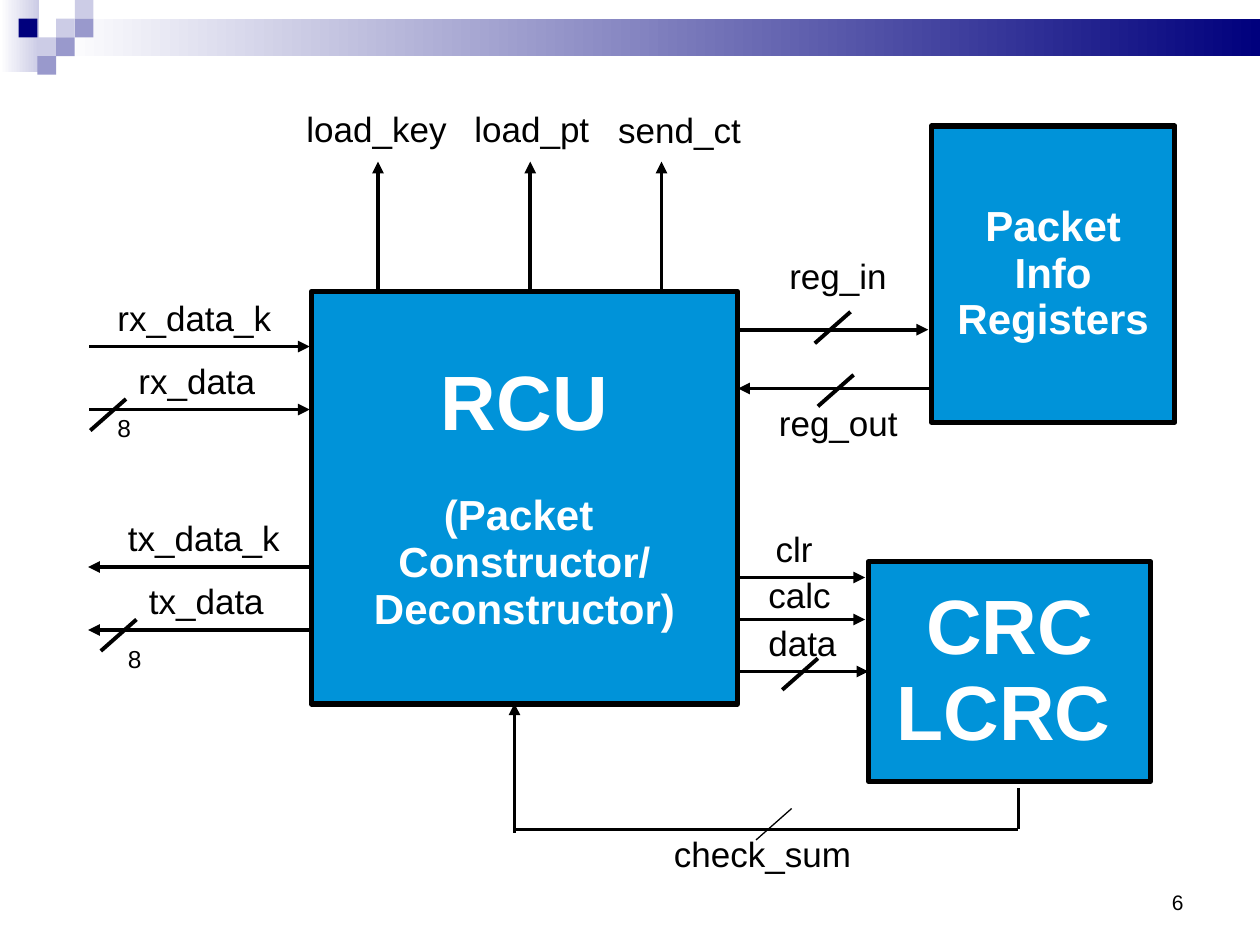
from dataclasses import dataclass

import pptx
import pptx.dml.color
import pptx.enum.shapes
import pptx.enum.text
import pptx.oxml
import pptx.oxml.ns
import pptx.util

COLORS = {"ink": "000000", "white": "FFFFFF", "block": "0093D9",
          "navy": "00007D", "mid": "9999CC", "pale": "CCCCE6"}
CELL = pptx.util.Inches(1) / 12  # grid of 120 columns by 90 rows
TILE = 1.78                      # side of a mosaic tile, in grid cells
ALIGN = pptx.enum.text.PP_ALIGN
ANCHOR = pptx.enum.text.MSO_ANCHOR
RECT = pptx.enum.shapes.MSO_SHAPE.RECTANGLE
STRAIGHT = pptx.enum.shapes.MSO_CONNECTOR.STRAIGHT


@dataclass
class Line:
    text: str
    size: float
    before: float = 0


@dataclass
class Block:
    col: float
    row: float
    cols: float
    rows: float
    lines: list[Line]


@dataclass
class Label:
    col: float
    row: float
    text: str
    size: float = 20
    cols: float = 18
    rows: float = 5


@dataclass
class Wire:
    col1: float
    row1: float
    col2: float
    row2: float
    arrow: bool = True
    width: float = 2.25


def grid(*cells: float) -> list[int]:
    return [round(c * CELL) for c in cells]


def rgb(name: str) -> pptx.dml.color.RGBColor:
    return pptx.dml.color.RGBColor.from_string(COLORS[name])


def set_font(font, size: float, color: str, bold: bool = False) -> None:
    font.name, font.size, font.bold = "Arial", pptx.util.Pt(size), bold
    font.color.rgb = rgb(color)


def add_rect(s, col: float, row: float, cols: float, rows: float, fill: str, fade: bool = False):
    sp = s.shapes.add_shape(RECT, *grid(col, row, cols, rows))
    sp.shadow.inherit = False
    sp.line.fill.background()
    if fade:
        sp.fill.gradient()
        sp.fill.gradient_angle = 180
        for stop, name, pos in zip(sp.fill.gradient_stops, (fill, "white"), (0, 1)):
            stop.color.rgb, stop.position = rgb(name), pos
    else:
        sp.fill.solid()
        sp.fill.fore_color.rgb = rgb(fill)
    return sp


def add_block(s, b: Block):
    sp = add_rect(s, b.col, b.row, b.cols, b.rows, "block")
    sp.line.color.rgb = rgb("ink")
    sp.line.width = pptx.util.Pt(2.89)
    tf = sp.text_frame
    tf.word_wrap, tf.vertical_anchor = True, ANCHOR.MIDDLE
    for i, line in enumerate(b.lines):
        p = tf.add_paragraph() if i else tf.paragraphs[0]
        p.text, p.alignment, p.line_spacing = line.text, ALIGN.CENTER, 0.93
        p.space_before = pptx.util.Pt(line.before)
        set_font(p.font, line.size, "white", True)
    return sp


def add_label(s, lb: Label):
    sp = s.shapes.add_textbox(*grid(lb.col, lb.row, lb.cols, lb.rows))
    sp.text_frame.word_wrap = True
    p = sp.text_frame.paragraphs[0]
    p.text, p.line_spacing = lb.text, 0.93
    set_font(p.font, lb.size, "ink")
    return sp


def add_wire(s, w: Wire):
    sp = s.shapes.add_connector(STRAIGHT, *grid(w.col1, w.row1, w.col2, w.row2))
    sp.line.color.rgb = rgb("ink")
    sp.line.width = pptx.util.Pt(w.width)
    if w.arrow:
        ln = sp.line._get_or_add_ln()
        ln.append(pptx.oxml.parse_xml(
            f'<a:tailEnd {pptx.oxml.ns.nsdecls("a")} type="triangle"/>'))
    sp._element.spPr.append(pptx.oxml.parse_xml(
        f'<a:effectLst {pptx.oxml.ns.nsdecls("a")}/>'))
    return sp


def main() -> None:
    prs = pptx.Presentation()
    prs.slide_width, prs.slide_height = grid(120, 90)
    s = prs.slides.add_slide(prs.slide_layouts[6])

    # Header band and mosaic
    add_rect(s, 0, 0, 3.7, 6.84, "pale", fade=True)
    add_rect(s, 5.4, 1.8, 114.6, 3.54, "navy", fade=True)
    for x, y, fill in [(3, 1, "pale"), (4, 0, "pale"), (4, 1, "mid"), (2, 2, "pale"),
                       (1, 1, "navy"), (3, 2, "mid"), (2, 3, "mid")]:
        add_rect(s, x * TILE, y * TILE, TILE, TILE, fill)

    # Blocks
    add_block(s, Block(29.65, 27.75, 40.6, 39.3, [
        Line("RCU", 44), Line("(Packet ", 24, before=26),
        Line("Constructor/", 24), Line("Deconstructor)", 24)]))
    crc = add_block(s, Block(82.7, 53.5, 26.9, 20.9, [Line("CRC", 44), Line("LCRC", 44)]))
    r = crc.text_frame.paragraphs[-1].add_run()
    r.text = " "
    set_font(r.font, 24, "ink")
    add_block(s, Block(88.7, 12, 23.2, 28.2, [
        Line(word, 24) for word in ("Packet", "Info", "Registers")]))

    # Signal names and bus widths
    for lb in [Label(10, 28, "rx_data_k"), Label(11, 49, "tx_data_k"),
               Label(12, 34, "rx_data"), Label(13, 55, "tx_data"),
               Label(72, 59, "data"), Label(72, 54.4, "calc"), Label(72.7, 50, "clr"),
               Label(63, 79.1, "check_sum", cols=21),
               Label(74, 24, "reg_in"), Label(73, 38, "reg_out"),
               Label(28, 10, "load_key"), Label(44, 10, "load_pt"),
               Label(57.7, 10.1, "send_ct"),
               Label(10, 39, "8", 14, 6, 3.8), Label(11, 61, "8", 14, 6, 3.8)]:
        add_label(s, lb)

    # Bus slashes
    for col, row, width in [(81, 29.7, 2.25), (81.3, 35.7, 2.25), (77.9, 62.7, 2.25),
                            (75.4, 77, 0.75), (12, 38, 2.25), (13, 59, 2.25)]:
        add_wire(s, Wire(col, row, col - 3.4, row + 3, False, width))

    # Signal arrows
    for row in (33, 39):
        add_wire(s, Wire(8.5, row, 29.5, row))
    for row in (54, 60):
        add_wire(s, Wire(29.65, row, 8.4, row))
    for row in (55, 59):
        add_wire(s, Wire(70.4, row, 82.4, row))
    add_wire(s, Wire(70.4, 63.95, 82.7, 63.95)).end_connect(crc, 1)
    add_wire(s, Wire(70.4, 31.4, 88.4, 31.4))
    add_wire(s, Wire(88.6, 37, 70.3, 37))
    for col in (36, 50.5, 63):
        add_wire(s, Wire(col, 27.6, col, 15.4))

    # Checksum return path
    add_wire(s, Wire(49, 79.3, 49, 67))
    add_wire(s, Wire(49, 79, 97, 79, False))
    add_wire(s, Wire(97, 79, 97, 75, False))

    # Slide number
    number = add_label(s, Label(86, 84.2, "6", 12, 27.9, 3.6))
    number.text_frame.vertical_anchor = ANCHOR.BOTTOM
    number.text_frame.paragraphs[0].alignment = ALIGN.RIGHT

    prs.save("out.pptx")


if __name__ == "__main__":
    main()
